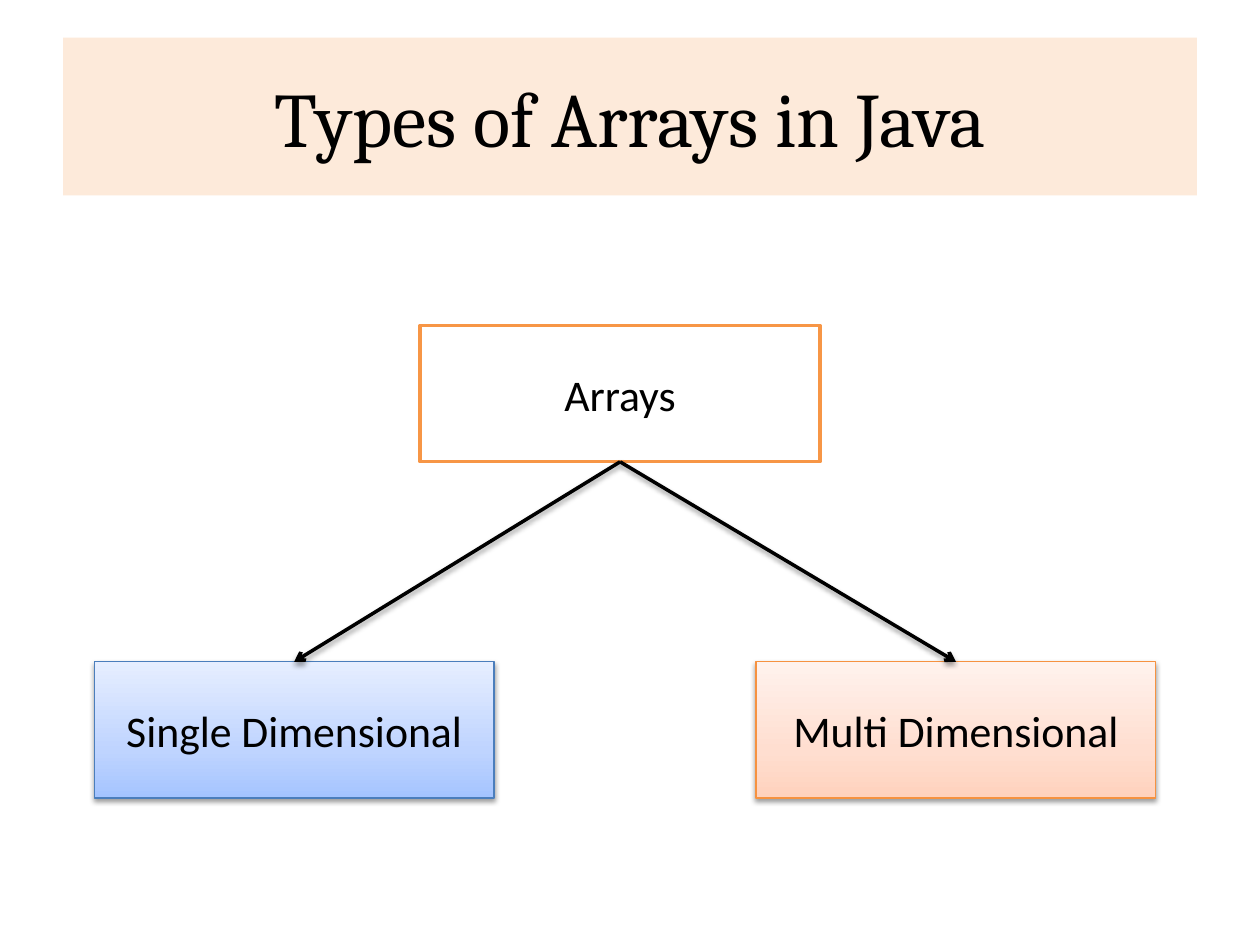
from dataclasses import dataclass

from lxml.etree import SubElement
from pptx import Presentation
from pptx.dml.color import RGBColor as Rgb
from pptx.enum.shapes import MSO_CONNECTOR as Connector, MSO_SHAPE as Preset
from pptx.enum.text import MSO_ANCHOR as Anchor, PP_ALIGN as Align
from pptx.oxml.ns import qn
from pptx.util import Cm, Pt

BOTTOM_SITE, TOP_SITE = 2, 0


@dataclass(frozen=True)
class Theme:
    title_font: str = "Cambria"
    body_font: str = "Calibri"
    title_size: int = 44
    box_size: int = 25
    ink: str = "000000"
    paper: str = "FFFFFF"
    banner: str = "FDEADA"
    accent: str = "F79646"
    blue_line: str = "4B7EBC"
    orange_line: str = "F69240"
    # Gradient colours run from the bottom of a box to its top.
    blue_shades: tuple = ("A4C4FF", "BFD4FF", "E6EEFF")
    orange_shades: tuple = ("FFD2BD", "FFDED0", "FFF2ED")
    shade_stops: tuple = (0, 35, 100)


def rgb(hex_code):
    return Rgb.from_string(hex_code)


def write_text(frame, text, *, font, size, color):
    frame.word_wrap = True
    frame.vertical_anchor = Anchor.MIDDLE
    paragraph = frame.paragraphs[0]
    paragraph.alignment = Align.CENTER
    run = paragraph.add_run()
    run.text = text
    run.font.name = font
    run.font.size = Pt(size)
    run.font.color.rgb = rgb(color)


def add_color(parent, color):
    return SubElement(parent, qn("a:srgbClr"), val=color)


def add_shadow(effects, color):
    """Fill an a:effectLst with a soft shadow that falls straight down."""
    shadow = SubElement(effects, qn("a:outerShdw"), blurRad=str(Pt(3.1)),
                        dist=str(Pt(1.6)), dir="5400000", rotWithShape="0")
    SubElement(add_color(shadow, color), qn("a:alpha"), val="38000")


class DiagramSlide:
    def __init__(self, deck, theme):
        self.theme = theme
        self.slide = deck.slides.add_slide(deck.slide_layouts[5])
        self.diagram = self.slide.shapes.add_group_shape().shapes

    def title(self, text, left, top, width, height):
        title = self.slide.shapes.title
        title.left, title.top = Cm(left), Cm(top)
        title.width, title.height = Cm(width), Cm(height)
        title.fill.solid()
        title.fill.fore_color.rgb = rgb(self.theme.banner)
        write_text(title.text_frame, text, font=self.theme.title_font,
                   size=self.theme.title_size, color=self.theme.ink)

    def box(self, text, left, top, *, line, line_width=0.75, shades=None):
        """Add a box: plain without shades, else graded and shadowed."""
        box = self.diagram.add_shape(Preset.RECTANGLE, Cm(left), Cm(top),
                                     Cm(8.06), Cm(2.75))
        box.line.color.rgb = rgb(line)
        box.line.width = Pt(line_width)
        box.shadow.inherit = False
        if shades:
            self.grade(box.fill, shades)
            effects = box._element.spPr.find(qn("a:effectLst"))
            add_shadow(effects, self.theme.ink)
        else:
            box.fill.solid()
            box.fill.fore_color.rgb = rgb(self.theme.paper)
        write_text(box.text_frame, text, font=self.theme.body_font,
                   size=self.theme.box_size, color=self.theme.ink)
        return box

    def grade(self, fill, shades):
        fill.gradient()
        fill.gradient_angle = 90
        stops = fill._xPr.find(qn("a:gradFill")).find(qn("a:gsLst"))
        for stop in list(stops):
            stops.remove(stop)
        for position, color in zip(self.theme.shade_stops, shades):
            stop = SubElement(stops, qn("a:gs"), pos=str(position * 1000))
            add_color(stop, color)

    def arrow(self, parent, child):
        arrow = self.diagram.add_connector(Connector.STRAIGHT, 0, 0, 0, 0)
        arrow.begin_connect(parent, BOTTOM_SITE)
        arrow.end_connect(child, TOP_SITE)
        arrow.line.color.rgb = rgb(self.theme.ink)
        arrow.line.width = Pt(2)
        SubElement(arrow.line._get_or_add_ln(), qn("a:tailEnd"), type="arrow")
        effects = SubElement(arrow._element.spPr, qn("a:effectLst"))
        add_shadow(effects, self.theme.ink)


def main():
    deck = Presentation()
    deck.slide_width, deck.slide_height = Cm(25.4), Cm(19.05)
    theme = Theme()
    page = DiagramSlide(deck, theme)

    page.title("Types of Arrays in Java", 1.27, 0.76, 22.86, 3.18)
    arrays = page.box("Arrays", 8.47, 6.56, line=theme.accent, line_width=2)
    child_top = 13.34
    single = page.box("Single Dimensional", 1.9, child_top,
                      line=theme.blue_line, shades=theme.blue_shades)
    multi = page.box("Multi Dimensional", 15.24, child_top,
                     line=theme.orange_line, shades=theme.orange_shades)
    for kind in (single, multi):
        page.arrow(arrays, kind)

    deck.save("out.pptx")


if __name__ == "__main__":
    main()
